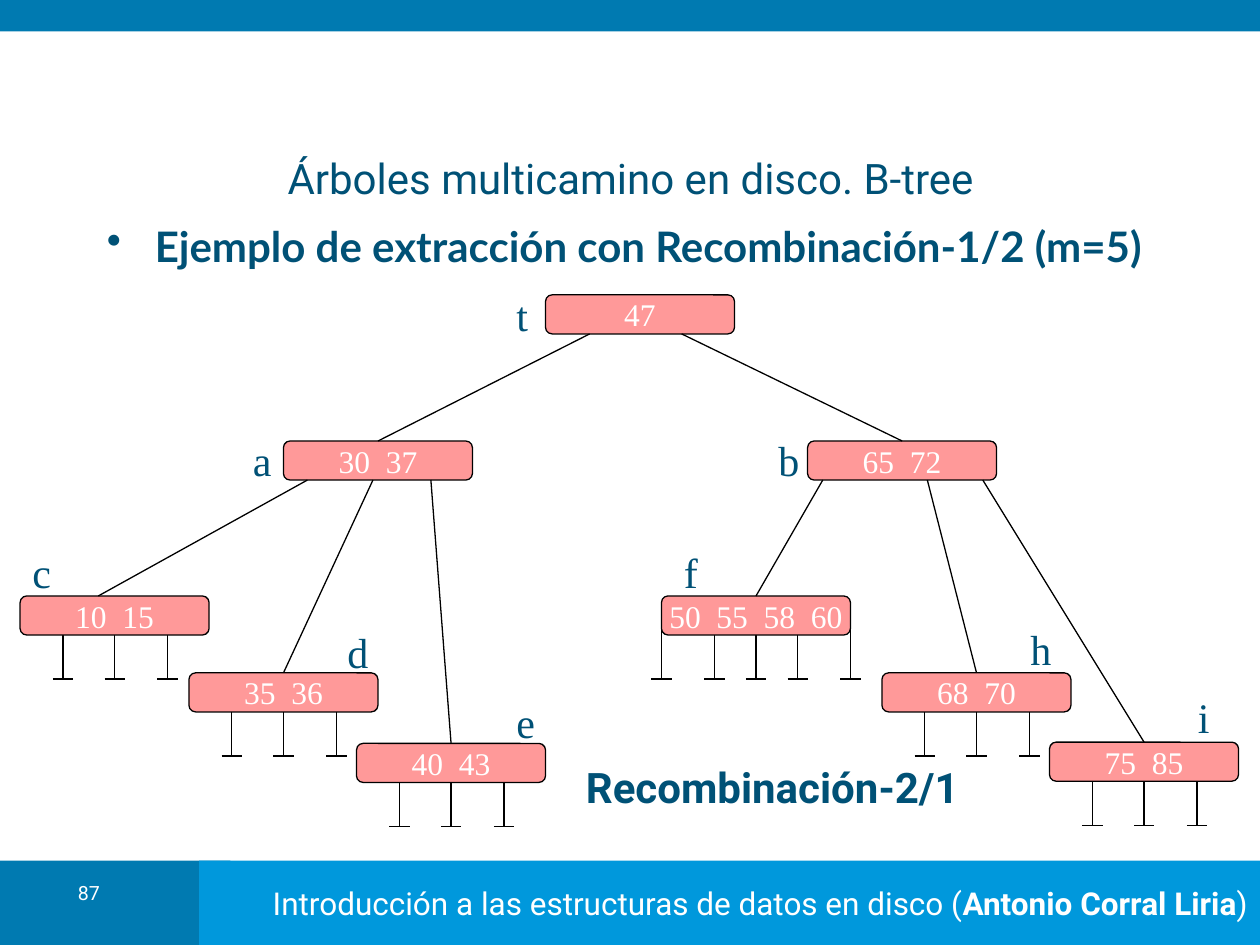
"""Build the slide on extraction with recombination in a B-tree."""
from lxml.etree import SubElement
from pptx import Presentation
from pptx.dml.color import RGBColor
from pptx.enum.shapes import MSO_CONNECTOR as Link, MSO_SHAPE as Shape
from pptx.enum.text import MSO_ANCHOR as Anchor, PP_ALIGN as Align
from pptx.oxml.ns import qn
from pptx.util import Inches, Pt

NAVY, WHITE, PINK = "005176", "FFFFFF", "FF9999"
SERIF = "Times New Roman"
WIDE, HIGH = 1.5, 0.31


def color(code):
    return RGBColor.from_string(code)


def style(shape, size, face, code, align=Align.LEFT, bold=False):
    for para in shape.text_frame.paragraphs:
        para.alignment = align
        for run in para.runs:
            run.font.size = Pt(size)
            run.font.name = face
            run.font.bold = bold
            run.font.color.rgb = color(code)


deck = Presentation()
deck.slide_width, deck.slide_height = Inches(10), Inches(7.5)
slide = deck.slides.add_slide(deck.slide_layouts[6])
shapes = slide.shapes

bars = []
for x, y, w, h, code in [(0, 6.83, 1.83, 0.67, "007AB1"),
                         (1.58, 6.83, 8.42, 0.67, "0098DC"),
                         (0, 0, 10, 0.25, "007AB1")]:
    bar = shapes.add_shape(Shape.RECTANGLE, Inches(x), Inches(y), Inches(w), Inches(h))
    bar.shadow.inherit = False
    bar.fill.solid()
    bar.fill.fore_color.rgb = color(code)
    bar.line.fill.background()
    bars.append(bar)

foot = bars[1]
foot.text_frame.text = "Introducción a las estructuras de datos en disco ("
foot.text_frame.word_wrap = False
foot.text_frame.vertical_anchor = Anchor.MIDDLE
for part in ("Antonio Corral Liria", ")"):
    foot.text_frame.paragraphs[0].add_run().text = part
style(foot, 18, "Roboto", WHITE, Align.RIGHT)
foot.text_frame.paragraphs[0].runs[1].font.bold = True

texts = []
for x, y, w, h, text, size, face, code, align, bold, anchor in [
    (0.35, 6.98, 0.71, 0.32, "87", 11.2, "Roboto", WHITE, Align.CENTER, False, Anchor.TOP),
    (0.83, 1.2, 8.35, 0.42, "Árboles multicamino en disco. B-tree",
     24, "Roboto", NAVY, Align.CENTER, False, Anchor.MIDDLE),
    (0.75, 1.7, 9.05, 0.55, "Ejemplo de extracción con Recombinación-1/2 (m=5)",
     24, "Lato", NAVY, Align.LEFT, True, Anchor.TOP),
    (4.42, 5.99, 3.42, 0.5, "Recombinación-2/1",
     24, "Roboto", NAVY, Align.CENTER, True, Anchor.MIDDLE),
]:
    box = shapes.add_textbox(Inches(x), Inches(y), Inches(w), Inches(h))
    box.text_frame.word_wrap = True
    box.text_frame.vertical_anchor = anchor
    box.text_frame.text = text
    style(box, size, face, code, align, bold)
    texts.append(box)

page, title, head, note = texts
page.text_frame.paragraphs[0].line_spacing = 0.8
props = head.text_frame.paragraphs[0]._p.get_or_add_pPr()
props.set("marL", str(Inches(0.38)))
props.set("indent", str(-Inches(0.38)))
tint = SubElement(props, qn("a:buClr"))
SubElement(tint, qn("a:srgbClr")).set("val", NAVY)
SubElement(props, qn("a:buChar")).set("char", "•")

three = (0.34, 0.75, 1.17)
five = (0, 0.42, 0.75, 1.08, 1.5)
tree = [
    ("t", 4.33, 2.34, "47", 4, 2.25, ()),
    ("a", 2.25, 3.5, "30  37", 1.91, 3.4, ()),
    ("b", 6.41, 3.5, "65  72", 6.08, 3.4, ()),
    ("c", 0.16, 4.73, "10  15", 0.16, 4.29, three),
    ("d", 1.5, 5.34, "35  36", 2.66, 4.92, three),
    ("e", 2.83, 5.9, "40  43", 4, 5.48, three),
    ("f", 5.25, 4.73, "50  55  58  60", 5.33, 4.29, five),
    ("h", 7, 5.34, "68  70", 8.08, 4.9, three),
    ("i", 8.33, 5.89, "75  85", 9.41, 5.44, three),
]
lines, nodes = [], {}
for name, x, y, keys, left, top, stems in tree:
    for gap in stems:
        mid, base = x + gap, y + 0.66
        for ends in ((mid, y + 0.25, mid, base), (mid - 0.08, base, mid + 0.08, base)):
            lines.append(shapes.add_connector(Link.STRAIGHT, *map(Inches, ends)))

    node = shapes.add_shape(Shape.ROUNDED_RECTANGLE, Inches(x), Inches(y),
                            Inches(WIDE), Inches(HIGH))
    node.adjustments[0] = 0.17
    node.shadow.inherit = False
    node.fill.solid()
    node.fill.fore_color.rgb = color(PINK)
    node.line.color.rgb = color("000000")
    node.line.width = Pt(0.75)
    node.text_frame.word_wrap = False
    node.text_frame.vertical_anchor = Anchor.MIDDLE
    node.text_frame.text = keys
    style(node, 18, SERIF, WHITE, Align.CENTER)
    nodes[name] = node

    label = shapes.add_textbox(Inches(left), Inches(top), Inches(0.33), Inches(0.5))
    label.text_frame.word_wrap = True
    label.text_frame.text = name
    style(label, 24, SERIF, NAVY)

for up, down, start in [("t", "a", 4.68), ("t", "b", 5.41), ("a", "c", 2.44),
                        ("a", "d", 2.96), ("a", "e", 3.42), ("b", "f", 6.53),
                        ("b", "h", 7.36), ("b", "i", 7.8)]:
    high, low = nodes[up], nodes[down]
    edge = shapes.add_connector(Link.STRAIGHT, Inches(start), high.top + high.height,
                                Inches(0.78), low.top)
    if down != "c":
        edge.end_connect(low, 0)
    lines.append(edge)

for line in lines:
    line.line.color.rgb = color("000000")
    line.line.width = Pt(0.75)
    SubElement(line._element.spPr, qn("a:effectLst"))

deck.save("out.pptx")
